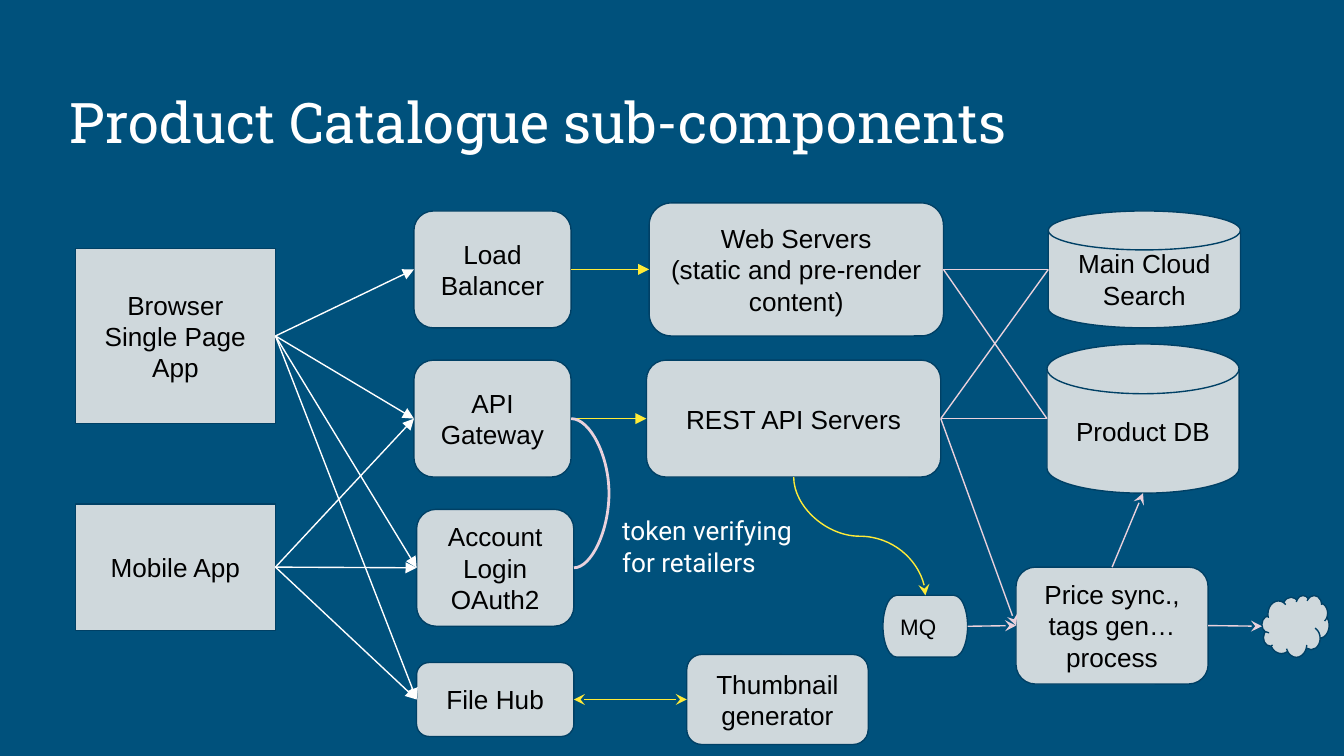
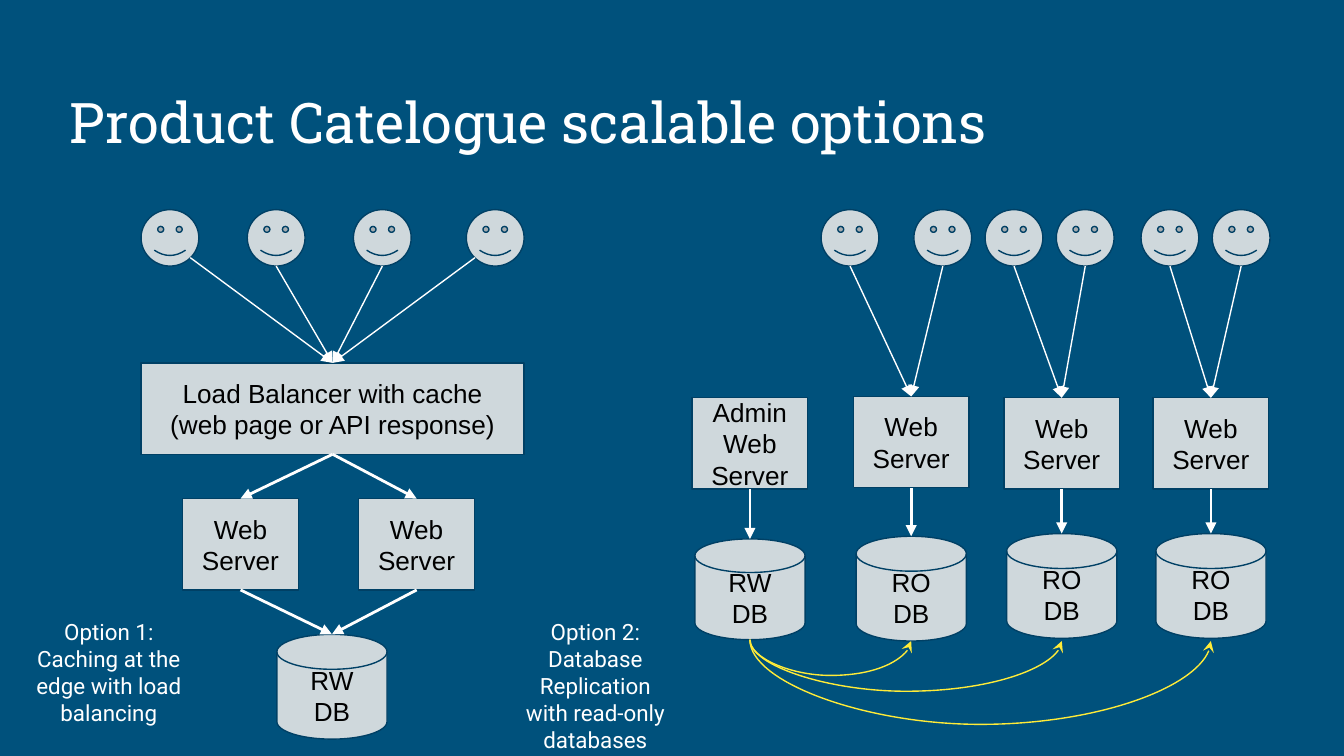
from lxml.etree import SubElement
from pptx import Presentation
from pptx.dml.color import RGBColor
from pptx.enum.shapes import MSO_CONNECTOR, MSO_SHAPE
from pptx.enum.text import MSO_ANCHOR, MSO_AUTO_SIZE, PP_ALIGN
from pptx.oxml.ns import qn
from pptx.util import Inches, Pt

NAVY = RGBColor(0x00, 0x51, 0x7C)
DARK_BLUE = RGBColor(0x00, 0x40, 0x65)
GREY = RGBColor(0xCF, 0xD8, 0xDC)
WHITE = RGBColor(0xFF, 0xFF, 0xFF)
BLACK = RGBColor(0x00, 0x00, 0x00)
YELLOW = RGBColor(0xFF, 0xEB, 0x38)
PINK = RGBColor(0xEA, 0xD1, 0xDC)

BOX = MSO_SHAPE.RECTANGLE
PROCESS = MSO_SHAPE.FLOWCHART_PROCESS
ROUNDED = MSO_SHAPE.FLOWCHART_ALTERNATE_PROCESS
DISK = MSO_SHAPE.FLOWCHART_MAGNETIC_DISK
QUEUE = MSO_SHAPE.FLOWCHART_TERMINATOR
CLOUD = MSO_SHAPE.CLOUD
FACE = MSO_SHAPE.SMILEY_FACE

# Fractions of a part's width and height where a line may attach.
SIDES = {
    "top": (0.5, 0), "bottom": (0.5, 1), "left": (0, 0.5), "right": (1, 0.5),
    "lower left": (0.15, 0.85), "lower right": (0.85, 0.85),
}

REQUEST = dict(color=WHITE, tail="triangle")
SERVE = dict(color=YELLOW, tail="triangle")
DATA = dict(color=PINK)
SYNC = dict(color=PINK, tail="stealth")
EVENT = dict(color=YELLOW, tail="stealth")
STRONG = dict(color=WHITE, tail="triangle", width=1.5)

# Name: preset, (left, top, width, height), paragraphs
COMPONENTS = {
    "product db": (DISK, (7.79, 2.56, 1.43, 1.11), ["Product DB"]),
    "balancer": (ROUNDED, (3.08, 1.57, 1.17, 0.87), ["Load Balancer"]),
    "web": (ROUNDED, (4.83, 1.51, 2.19, 0.99),
            ["Web Servers", "(static and pre-render content)"]),
    "browser": (BOX, (0.56, 1.85, 1.49, 1.3), ["Browser", "Single Page App"]),
    "gateway": (ROUNDED, (3.08, 2.68, 1.17, 0.87), ["API Gateway"]),
    "rest": (ROUNDED, (4.81, 2.68, 2.19, 0.87), ["REST API Servers"]),
    "login": (ROUNDED, (3.1, 3.79, 1.17, 0.87), ["Account Login OAuth2"]),
    "search": (DISK, (7.8, 1.57, 1.43, 0.87), ["Main Cloud Search"]),
    "mobile": (BOX, (0.56, 3.75, 1.49, 0.94), ["Mobile App"]),
    "sync": (ROUNDED, (7.56, 4.22, 1.43, 0.87), ["Price sync., tags gen… process"]),
    "queue": (QUEUE, (6.57, 4.43, 0.63, 0.46), ["MQ"]),
    "internet": (CLOUD, (9.39, 4.43, 0.5, 0.46), []),
    "storage": (ROUNDED, (3.1, 4.93, 1.17, 0.55), ["File Hub"]),
    "thumbnail": (ROUNDED, (5.11, 4.87, 1.35, 0.67), ["Thumbnail generator"]),
}
SIDEWAYS_LINKS = [
    ("browser", "balancer", REQUEST), ("browser", "gateway", REQUEST),
    ("browser", "login", REQUEST), ("browser", "storage", REQUEST),
    ("mobile", "gateway", REQUEST), ("mobile", "login", REQUEST),
    ("mobile", "storage", REQUEST),
    ("balancer", "web", SERVE), ("gateway", "rest", SERVE),
    ("web", "search", DATA), ("web", "product db", DATA),
    ("rest", "search", DATA), ("rest", "product db", DATA),
    ("rest", "sync", SYNC), ("queue", "sync", SYNC), ("sync", "internet", SYNC),
]

FACE_TOP, FACE_SIZE = 1.56, (0.43, 0.42)
SERVER_SIZE, DISK_SIZE = (0.86, 0.68), (0.82, 0.78)
CACHE_BOX = (1.05, 2.7, 2.85, 0.68)
CACHE_TEXT = ["Load Balancer with cache", "(web page or API response)"]
CACHE_USERS = [(1.05, "lower right"), (1.84, "bottom"), (2.63, "bottom"), (3.47, "lower left")]
CACHED_SERVER_LEFTS = [1.36, 2.67]
CACHED_DB = (2.06, 4.72, *DISK_SIZE)

ADMIN_SERVER = (5.15, 2.96, *SERVER_SIZE)
ADMIN_DB = (5.17, 4.01, 0.82, 0.75)
# Server left and top, database top, user lefts, depth of the replication curve
REPLICAS = [
    (6.35, 2.95, 3.99, (6.11, 6.8), 0.27),
    (7.47, 2.96, 3.97, (7.33, 7.86), 0.39),
    (8.58, 2.96, 3.97, (8.49, 9.02), 0.64),
]
OPTIONS = [
    ((0.15, 4.5, 1.32, 1), ["Option 1:", "Caching at the edge with load balancing"]),
    ((3.79, 4.5, 1.28, 1.2), ["Option 2:", "Database Replication with read-only databases"]),
]


def inches(values):
    return [Inches(value) for value in values]


def write(shape, paragraphs, size=14, font="Arial", color=BLACK,
          align=PP_ALIGN.CENTER, anchor=MSO_ANCHOR.MIDDLE, fit=MSO_AUTO_SIZE.NONE):
    frame = shape.text_frame
    frame.word_wrap = True
    frame.auto_size = fit
    frame.vertical_anchor = anchor
    frame.margin_left = frame.margin_right = Inches(0.1)
    frame.margin_top = frame.margin_bottom = Inches(0.1)
    for index, text in enumerate(paragraphs):
        paragraph = frame.add_paragraph() if index else frame.paragraphs[0]
        paragraph.text = text
        paragraph.alignment = align
        paragraph.font.size = Pt(size)
        paragraph.font.name = font
        paragraph.font.color.rgb = color


def add_part(slide, preset, box, paragraphs=(), **text_format):
    shape = slide.shapes.add_shape(preset, *inches(box))
    shape.shadow.inherit = False
    shape.fill.solid()
    shape.fill.fore_color.rgb = GREY
    shape.line.color.rgb = DARK_BLUE
    shape.line.width = Pt(0.75)
    write(shape, paragraphs, **text_format)
    return box


def add_note(slide, box, paragraphs, **text_format):
    note = slide.shapes.add_textbox(*inches(box))
    write(note, paragraphs, font="Roboto", color=WHITE, anchor=MSO_ANCHOR.TOP,
          fit=MSO_AUTO_SIZE.SHAPE_TO_FIT_TEXT, **text_format)


def point(box, side):
    left, top, width, height = box
    across, down = SIDES[side]
    return left + across * width, top + down * height


def style_line(connector, color, width=0.75, head=None, tail=None):
    connector.line.color.rgb = color
    connector.line.width = Pt(width)
    line = connector.line._get_or_add_ln()
    for tag, arrow in (("a:headEnd", head), ("a:tailEnd", tail)):
        if arrow:
            SubElement(line, qn(tag), type=arrow)
    SubElement(connector._element.spPr, qn("a:effectLst"))


def add_link(slide, start, end, style):
    connector = slide.shapes.add_connector(
        MSO_CONNECTOR.STRAIGHT, *inches(start), *inches(end))
    style_line(connector, **style)


def add_curve(slide, start, end, bend, style, rotation=0):
    """Draw a curve whose middle lies bend inches along its first direction.

    Rotation 0 leaves to the right, 180 to the left and 270 downwards.
    """
    width, height = abs(end[0] - start[0]), abs(end[1] - start[1])
    if rotation == 270:
        width, height = height, width
    left = (start[0] + end[0] - width) / 2
    top = (start[1] + end[1] - height) / 2
    connector = slide.shapes.add_connector(
        MSO_CONNECTOR.CURVE, *inches((left, top, left + width, top + height)))
    properties = connector._element.spPr
    if rotation:
        properties.xfrm.set("rot", str(rotation * 60000))
    if rotation == 270:
        properties.xfrm.set("flipH", "1")
    adjustments = properties.prstGeom.get_or_add_avLst()
    SubElement(adjustments, qn("a:gd"), name="adj1",
               fmla=f"val {round(bend / width * 100000)}")
    style_line(connector, **style)


def add_titled_slide(presentation, text):
    slide = presentation.slides.add_slide(presentation.slide_layouts[5])
    title = slide.shapes.title
    title.left, title.top, title.width, title.height = inches((0.42, 0.5, 9.15, 0.75))
    write(title, [text], size=30, font="Roboto Slab", color=WHITE,
          align=PP_ALIGN.LEFT, anchor=MSO_ANCHOR.BOTTOM)
    return slide


def build_components(presentation):
    slide = add_titled_slide(presentation, "Product Catalogue sub-components")
    boxes = {}
    for name, (preset, box, paragraphs) in COMPONENTS.items():
        text_format = dict(size=12, align=PP_ALIGN.LEFT) if preset == QUEUE else {}
        boxes[name] = add_part(slide, preset, box, paragraphs, **text_format)
    for source, target, style in SIDEWAYS_LINKS:
        add_link(slide, point(boxes[source], "right"), point(boxes[target], "left"), style)
    add_link(slide, point(boxes["sync"], "top"), point(boxes["product db"], "bottom"), SYNC)

    add_curve(slide, point(boxes["login"], "right"), point(boxes["gateway"], "right"),
              -0.26, dict(color=PINK, width=1.5), rotation=180)
    add_curve(slide, point(boxes["rest"], "bottom"), point(boxes["queue"], "top"),
              0.44, EVENT, rotation=270)
    add_curve(slide, point(boxes["storage"], "right"), point(boxes["thumbnail"], "left"),
              0.42, dict(EVENT, head="stealth"))
    add_note(slide, (4.53, 3.73, 1.49, 0.67), ["token verifying for retailers"],
             align=PP_ALIGN.LEFT)


def build_cached_option(slide):
    cache = add_part(slide, PROCESS, CACHE_BOX, CACHE_TEXT)
    database = add_part(slide, DISK, CACHED_DB, ["RW DB"])
    for left, side in CACHE_USERS:
        user = add_part(slide, FACE, (left, FACE_TOP, *FACE_SIZE))
        add_link(slide, point(user, side), point(cache, "top"), REQUEST)
    for left in CACHED_SERVER_LEFTS:
        server = add_part(slide, BOX, (left, 3.71, *SERVER_SIZE), ["Web Server"])
        add_link(slide, point(cache, "bottom"), point(server, "top"), STRONG)
        add_link(slide, point(server, "bottom"), point(database, "top"), STRONG)


def build_replicated_option(slide):
    admin = add_part(slide, BOX, ADMIN_SERVER, ["Admin\vWeb Server"])
    primary = add_part(slide, DISK, ADMIN_DB, ["RW", "DB"])
    add_link(slide, point(admin, "bottom"), point(primary, "top"), STRONG)
    for left, top, database_top, user_lefts, depth in REPLICAS:
        server = add_part(slide, BOX, (left, top, *SERVER_SIZE), ["Web Server"])
        replica = add_part(slide, DISK, (left + 0.02, database_top, *DISK_SIZE), ["RO", "DB"])
        add_link(slide, point(server, "bottom"), point(replica, "top"), STRONG)
        for user_left in user_lefts:
            user = add_part(slide, FACE, (user_left, FACE_TOP, *FACE_SIZE))
            add_link(slide, point(user, "bottom"), point(server, "top"), REQUEST)
        start = point(primary, "bottom")
        end = (point(replica, "bottom")[0], start[1] + 0.01)
        add_curve(slide, start, end, depth, EVENT, rotation=270)


def build_options(presentation):
    slide = add_titled_slide(presentation, "Product Catelogue scalable options")
    build_cached_option(slide)
    build_replicated_option(slide)
    for box, paragraphs in OPTIONS:
        add_note(slide, box, paragraphs, size=12)


def main():
    presentation = Presentation()
    presentation.slide_width = Inches(10)
    presentation.slide_height = Inches(10) * 9 // 16
    background = presentation.slide_master.background.fill
    background.solid()
    background.fore_color.rgb = NAVY
    build_components(presentation)
    build_options(presentation)
    presentation.save("out.pptx")


if __name__ == "__main__":
    main()
